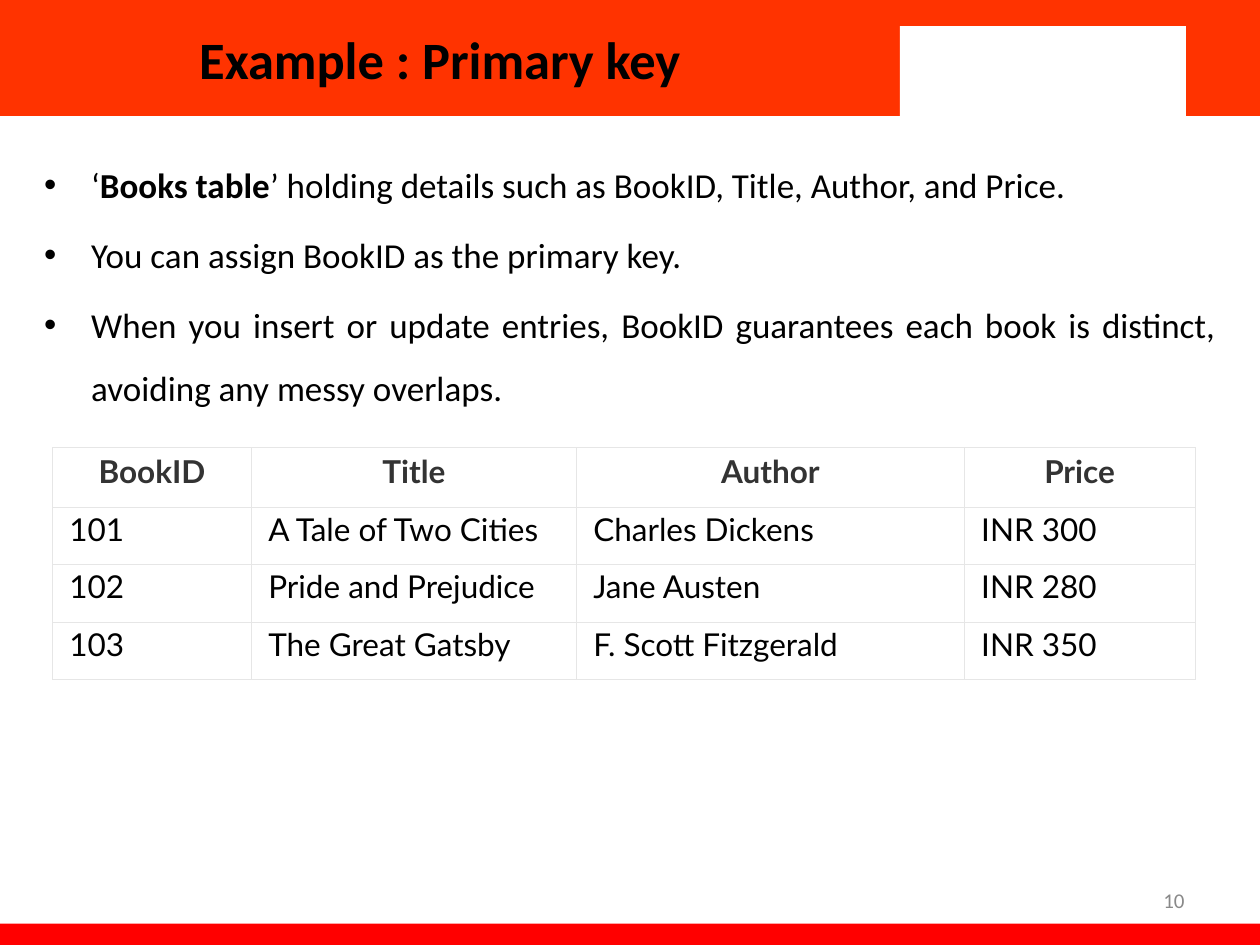
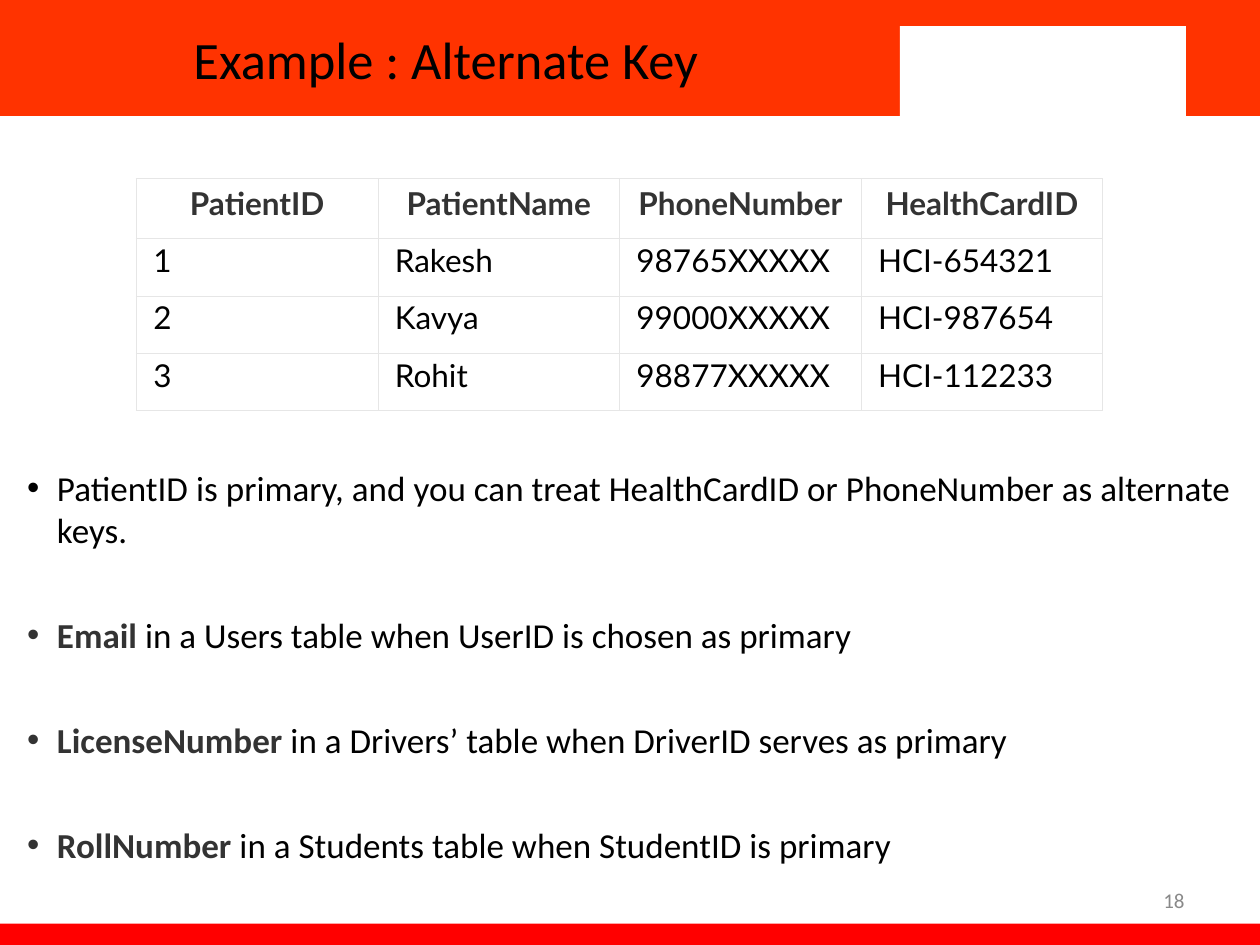
from lxml import etree
from pptx import Presentation
from pptx.dml.color import RGBColor
from pptx.enum import shapes, text
from pptx.oxml import ns
from pptx.util import Cm, Pt

BLACK = RGBColor(0x00, 0x00, 0x00)
WHITE = RGBColor(0xFF, 0xFF, 0xFF)
ORANGE = RGBColor(0xFF, 0x33, 0x00)
RED = RGBColor(0xFF, 0x00, 0x00)
CHARCOAL = RGBColor(0x33, 0x33, 0x33)
GREY = RGBColor(0x89, 0x89, 0x89)
RULE = RGBColor(0xE6, 0xE6, 0xE6)

SLIDE_W, SLIDE_H = 25.4, 19.05
BAND_H = 2.34
CELL_INSET = 0.34
HEAD_ROW_H, DATA_ROW_H = 1.21, 1.15

BANDS = [
    ((0, 0, SLIDE_W, BAND_H), ORANGE),
    ((0, 18.62, SLIDE_W, 0.56), RED),
    ((18.14, 0.53, 5.77, 1.91), WHITE),
]

LESSONS = [
    {
        "title": "Example : Primary key ",
        "title_bold": True,
        "number": "10",
        "table_at": (1.06, 9.02),
        "columns": [4.01, 6.55, 7.82, 4.65],
        "rows": [
            ("BookID", "Title", "Author", "Price"),
            ("101", "A Tale of Two Cities", "Charles Dickens", "INR 300"),
            ("102", "Pride and Prejudice", "Jane Austen", "INR 280"),
            ("103", "The Great Gatsby", "F. Scott Fitzgerald", "INR 350"),
        ],
        "points_at": (0.64, 2.75, 24.13, 13.64),
        "points_format": {"indent": 0.95, "line": 1.5, "before": 4},
        "key_color": BLACK,
        "points": [
            [("‘", False), ("Books table", True),
             ("’ holding details such as BookID, Title, Author, and Price.", False)],
            [("You can assign BookID as the primary key.", False)],
            [("When you insert or update entries, BookID guarantees each book is "
              "distinct, avoiding any messy overlaps.", False)],
        ],
    },
    {
        "title": "Example : Alternate Key",
        "title_bold": False,
        "number": "18",
        "table_at": (2.75, 3.6),
        "columns": [4.87] * 4,
        "rows": [
            ("PatientID", "PatientName", "PhoneNumber", "HealthCardID"),
            ("1", "Rakesh", "98765XXXXX", "HCI-654321"),
            ("2", "Kavya", "99000XXXXX", "HCI-987654"),
            ("3", "Rohit", "98877XXXXX", "HCI-112233"),
        ],
        "points_at": (0.3, 9.27, 24.77, 8.38),
        "points_format": {"indent": 0.6, "before": 36},
        "key_color": CHARCOAL,
        "points": [
            [("PatientID is primary, and you can treat HealthCardID or PhoneNumber "
              "as alternate keys.", False)],
            [("Email", True), (" in a Users table when UserID is chosen as primary", False)],
            [("LicenseNumber", True),
             (" in a Drivers’ table when DriverID serves as primary", False)],
            [("RollNumber", True),
             (" in a Students table when StudentID is primary", False)],
        ],
    },
]


def write(frame, paragraphs, size=20, font="Calibri", color=BLACK, key_color=BLACK,
          align=text.PP_ALIGN.LEFT, anchor=text.MSO_ANCHOR.TOP,
          line=None, before=0, indent=None):
    frame.word_wrap = True
    frame.vertical_anchor = anchor
    for index, pieces in enumerate(paragraphs):
        paragraph = frame.add_paragraph() if index else frame.paragraphs[0]
        if indent:
            add_bullet(paragraph, indent)
        paragraph.alignment = align
        if line:
            paragraph.line_spacing = line
        paragraph.space_before = Pt(before if index else 0)
        for words, bold in pieces:
            run = paragraph.add_run()
            run.text = words
            run.font.name = font
            run.font.size = Pt(size)
            run.font.bold = bold
            run.font.color.rgb = key_color if bold else color


def add_bullet(paragraph, indent):
    properties = paragraph._p.get_or_add_pPr()
    properties.set("marL", str(Cm(indent)))
    properties.set("indent", str(-Cm(indent)))
    etree.SubElement(properties, ns.qn("a:buFont")).set("typeface", "Arial")
    etree.SubElement(properties, ns.qn("a:buChar")).set("char", "•")


def add_borders(cell):
    properties = cell._tc.get_or_add_tcPr()
    for position, side in enumerate(("lnL", "lnR", "lnT", "lnB")):
        border = etree.Element(ns.qn(f"a:{side}"), w=str(Pt(0.6)))
        fill = etree.SubElement(border, ns.qn("a:solidFill"))
        etree.SubElement(fill, ns.qn("a:srgbClr")).set("val", str(RULE))
        properties.insert(position, border)


def add_bands(slide, layout):
    for placeholder in list(layout.placeholders):
        if placeholder.placeholder_format.type != shapes.PP_PLACEHOLDER.TITLE:
            placeholder.element.getparent().remove(placeholder.element)
    for position, (box, color) in enumerate(BANDS, start=2):
        band = slide.shapes.add_shape(shapes.MSO_SHAPE.RECTANGLE, *map(Cm, box))
        band.shadow.inherit = False
        band.fill.solid()
        band.fill.fore_color.rgb = color
        band.line.fill.background()
        layout.shapes.element.insert(position, band.element)


def add_records(slide, at, columns, rows):
    height = HEAD_ROW_H + DATA_ROW_H * (len(rows) - 1)
    records = slide.shapes.add_table(
        len(rows), len(columns), *map(Cm, (*at, sum(columns), height))).table
    records.horz_banding = False
    for column, width in zip(records.columns, columns):
        column.width = Cm(width)
    for row_index, values in enumerate(rows):
        heading = row_index == 0
        records.rows[row_index].height = Cm(HEAD_ROW_H if heading else DATA_ROW_H)
        for column_index, value in enumerate(values):
            cell = records.cell(row_index, column_index)
            cell.margin_left = cell.margin_right = Cm(CELL_INSET)
            cell.margin_top = cell.margin_bottom = Cm(CELL_INSET)
            cell.fill.solid()
            cell.fill.fore_color.rgb = WHITE
            add_borders(cell)
            write(cell.text_frame, [[(value, heading)]], size=18, font="Lato",
                  key_color=CHARCOAL, line=Pt(15 if heading else 13.5),
                  align=text.PP_ALIGN.CENTER if heading else text.PP_ALIGN.LEFT)
            cell.vertical_anchor = text.MSO_ANCHOR.MIDDLE


def add_lesson(slide, lesson):
    title = slide.shapes.title
    title.left, title.top, title.width, title.height = map(Cm, (0, 0, 17.98, BAND_H))
    write(title.text_frame, [[(lesson["title"], lesson["title_bold"])]], size=30,
          align=text.PP_ALIGN.CENTER, anchor=text.MSO_ANCHOR.MIDDLE)

    points = slide.shapes.add_textbox(*map(Cm, lesson["points_at"]))
    write(points.text_frame, lesson["points"], key_color=lesson["key_color"],
          align=text.PP_ALIGN.JUSTIFY, **lesson["points_format"])

    add_records(slide, lesson["table_at"], lesson["columns"], lesson["rows"])

    number = slide.shapes.add_textbox(*map(Cm, (18.2, 17.65, 5.93, 1.01)))
    write(number.text_frame, [[(lesson["number"], False)]], size=12, color=GREY,
          align=text.PP_ALIGN.RIGHT, anchor=text.MSO_ANCHOR.MIDDLE)


def main():
    deck = Presentation()
    deck.slide_width, deck.slide_height = Cm(SLIDE_W), Cm(SLIDE_H)
    layout = deck.slide_layouts[5]
    slides = [deck.slides.add_slide(layout) for _ in LESSONS]
    add_bands(slides[0], layout)
    for slide, lesson in zip(slides, LESSONS):
        add_lesson(slide, lesson)
    deck.save("out.pptx")


if __name__ == "__main__":
    main()
